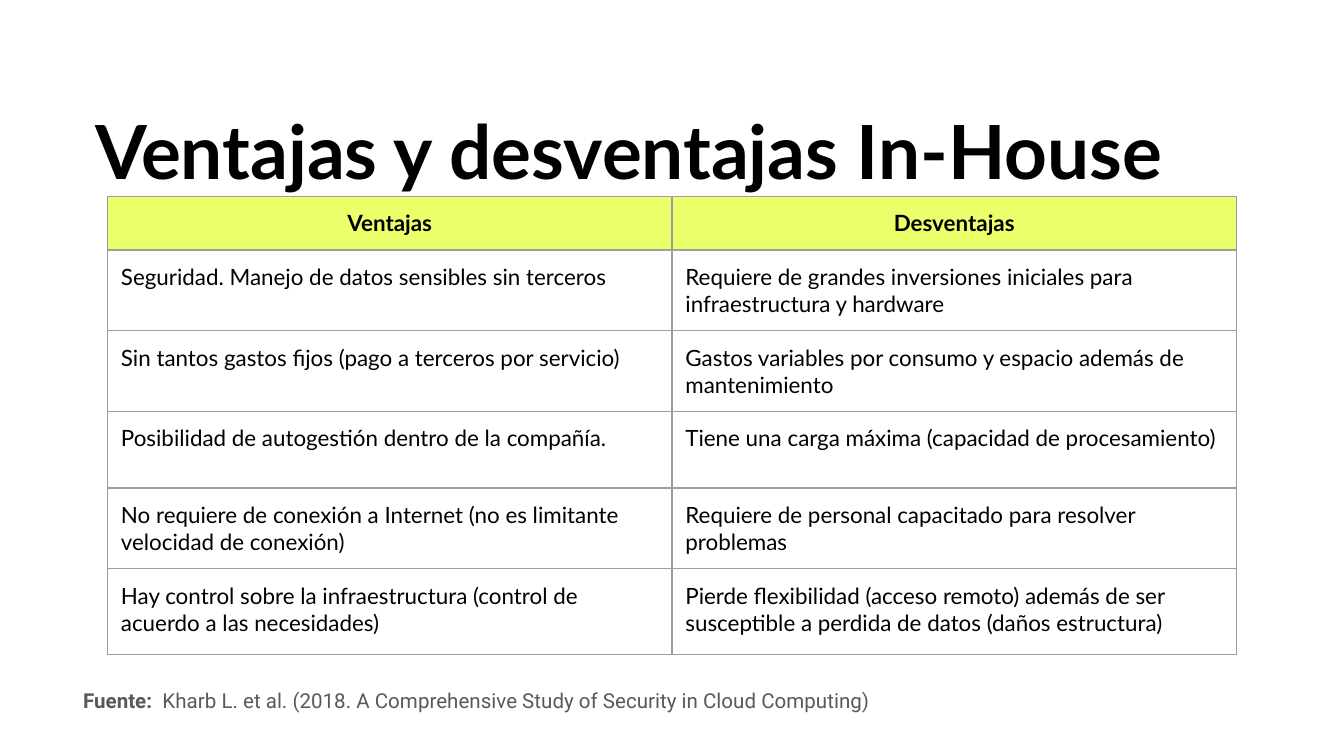
"""Build the slide on advantages and disadvantages of In-House infrastructure."""
from typing import NamedTuple

import pptx
import pptx.dml.color
import pptx.enum.text
import pptx.oxml
import pptx.oxml.ns
import pptx.util
from pptx.dml.color import RGBColor
from pptx.util import Inches

BLACK = RGBColor(0x00, 0x00, 0x00)
GRAY = RGBColor(0x59, 0x59, 0x59)
LIME = RGBColor(0xEA, 0xFF, 0x6A)
BORDER = RGBColor(0x9E, 0x9E, 0x9E)
INSET = Inches(0.1)


class Comparison(NamedTuple):
    ventaja: str
    desventaja: str
    height: float = 0.57


COMPARISONS = [
    Comparison("Ventajas", "Desventajas", 0.38),
    Comparison("Seguridad. Manejo de datos sensibles sin terceros",
               "Requiere de grandes inversiones iniciales para infraestructura y hardware"),
    Comparison("Sin tantos gastos fijos (pago a terceros por servicio)",
               "Gastos variables por consumo y espacio además de mantenimiento"),
    Comparison("Posibilidad de autogestión dentro de la compañía.",
               "Tiene una carga máxima (capacidad de procesamiento)"),
    Comparison("No requiere de conexión a Internet (no es limitante velocidad de conexión)",
               "Requiere de personal capacitado para resolver problemas"),
    Comparison("Hay control sobre la infraestructura (control de acuerdo a las necesidades)",
               "Pierde flexibilidad (acceso remoto) además de ser susceptible a perdida de "
               "datos (daños estructura)", 0.64),
]


def add_text(paragraph, text: str, *, size: float, font: str = "Lato",
             color: RGBColor = BLACK, bold: bool = False, align=None,
             line_spacing: float | None = None) -> None:
    run = paragraph.add_run()
    run.text = text
    run.font.size = pptx.util.Pt(size)
    run.font.name = font
    run.font.bold = bold
    run.font.color.rgb = color
    if align is not None:
        paragraph.alignment = align
    if line_spacing is not None:
        paragraph.line_spacing = line_spacing


def add_box(slide, left: float, top: float, width: float, height: float):
    frame = slide.shapes.add_textbox(
        Inches(left), Inches(top), Inches(width), Inches(height)).text_frame
    frame.word_wrap = True
    frame.margin_left = frame.margin_right = INSET
    frame.margin_top = frame.margin_bottom = INSET
    return frame


def set_borders(cell) -> None:
    properties = cell._tc.get_or_add_tcPr()
    for position, side in enumerate(("lnL", "lnR", "lnT", "lnB")):
        properties.insert(position, pptx.oxml.parse_xml(
            f'<a:{side} {pptx.oxml.ns.nsdecls("a")} w="{pptx.util.Pt(0.75)}">'
            f'<a:solidFill><a:srgbClr val="{BORDER}"/></a:solidFill>'
            f'<a:prstDash val="solid"/></a:{side}>'))


def fill_cell(cell, text: str, header: bool) -> None:
    cell.margin_left = cell.margin_right = INSET
    cell.margin_top = cell.margin_bottom = INSET
    if header:
        cell.fill.solid()
        cell.fill.fore_color.rgb = LIME
    else:
        cell.fill.background()
    set_borders(cell)
    add_text(cell.text_frame.paragraphs[0], text, size=12, bold=header,
             align=pptx.enum.text.PP_ALIGN.CENTER if header else None)


def add_comparison(slide, comparisons: list[Comparison]) -> None:
    height = sum(comparison.height for comparison in comparisons)
    grid = slide.shapes.add_table(len(comparisons), 2, Inches(0.8), Inches(1.46),
                                  Inches(8.4), Inches(height)).table
    grid.first_row = grid.horz_banding = False
    for index, comparison in enumerate(comparisons):
        grid.rows[index].height = Inches(comparison.height)
        for column, text in enumerate((comparison.ventaja, comparison.desventaja)):
            fill_cell(grid.cell(index, column), text, header=index == 0)


def main() -> None:
    deck = pptx.Presentation()
    deck.slide_width = Inches(10)
    deck.slide_height = deck.slide_width * 9 // 16
    slide = deck.slides.add_slide(deck.slide_layouts[6])

    title = add_box(slide, 0.61, 0.58, 10.28, 0.76)
    add_text(title.paragraphs[0], "Ventajas y desventajas In-House",
             size=40, bold=True, line_spacing=1.15)

    add_comparison(slide, COMPARISONS)

    source = add_box(slide, 0.52, 5.03, 7.83, 0.39)
    source.auto_size = pptx.enum.text.MSO_AUTO_SIZE.SHAPE_TO_FIT_TEXT
    citation = source.paragraphs[0]
    add_text(citation, "Fuente: ", size=11, font="Roboto", color=GRAY, bold=True)
    add_text(citation, " Kharb L. et al. (2018. A Comprehensive Study of Security in "
             "Cloud Computing)", size=11, font="Roboto", color=GRAY)

    deck.save("out.pptx")


if __name__ == "__main__":
    main()
